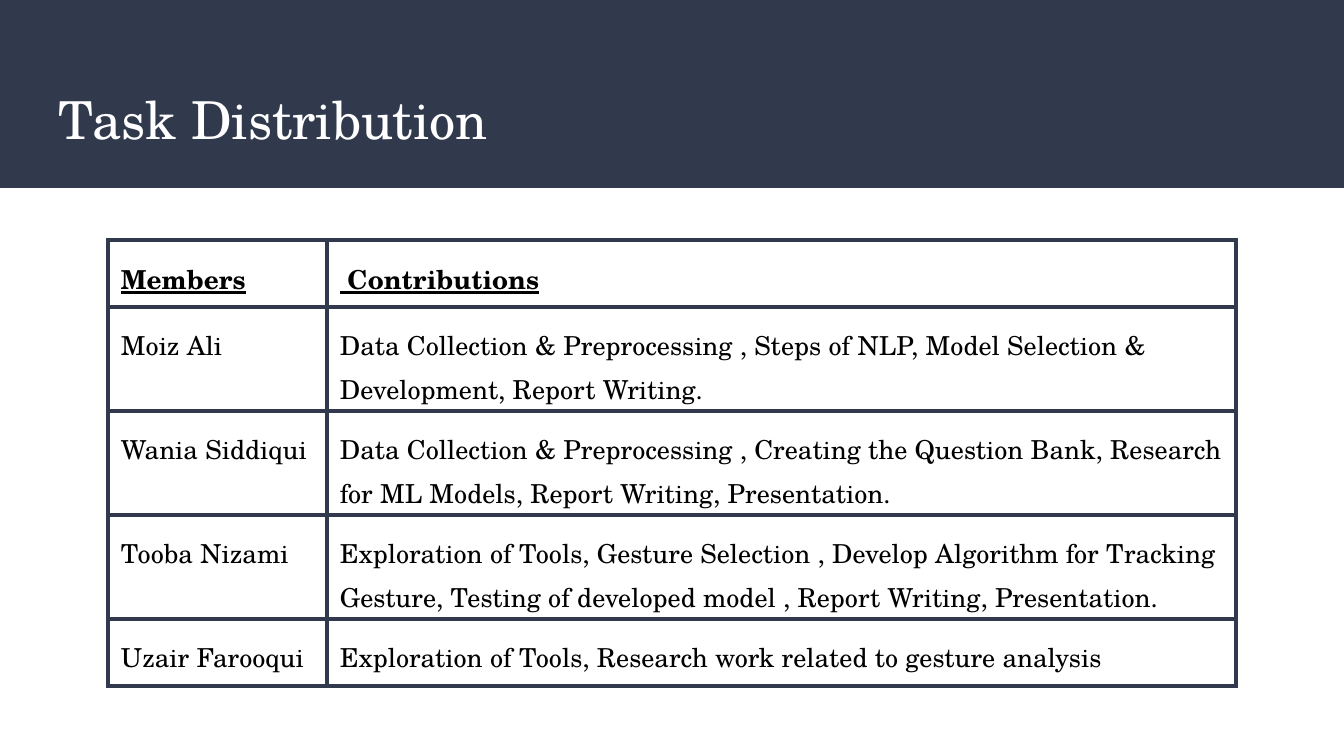
from lxml import etree
from pptx import Presentation
from pptx import util as u
from pptx.dml.color import RGBColor
from pptx.enum import shapes, text
from pptx.oxml.ns import qn

PX = 914400 / 134.4
FONT = "TeX Gyre Schola"
NAVY, WHITE, BLACK = "31394D", "FFFFFF", "000000"
PAD = 13
ROWS = [
    ("Members", " Contributions"),
    ("Moiz Ali", "Data Collection & Preprocessing , Steps of NLP, "
     "Model Selection & Development, Report Writing."),
    ("Wania Siddiqui", "Data Collection & Preprocessing , Creating the Question "
     "Bank, Research for ML Models, Report Writing, Presentation."),
    ("Tooba Nizami", "Exploration of Tools, Gesture Selection , Develop Algorithm "
     "for Tracking Gesture, Testing of developed model , Report Writing, Presentation."),
    ("Uzair Farooqui", "Exploration of Tools, Research work related to gesture analysis"),
]


def px(n):
    return u.Emu(round(n * PX))


def paint(color, code):
    color.rgb = RGBColor.from_string(code)


def write(frame, words, size, code, bold=False):
    """Fill a text frame; bold text is underlined too."""
    frame.text = words
    font = frame.paragraphs[0].runs[0].font
    font.name, font.size = FONT, u.Pt(size)
    font.bold = font.underline = bold
    paint(font.color, code)


def edge(cell):
    """Draw the four borders of a table cell."""
    props = cell._tc.get_or_add_tcPr()
    for i, side in enumerate(("lnL", "lnR", "lnT", "lnB")):
        line = etree.Element(qn("a:" + side), w=str(u.Pt(2.25)))
        fill = etree.SubElement(line, qn("a:solidFill"))
        etree.SubElement(fill, qn("a:srgbClr"), val=NAVY)
        props.insert(i, line)


def header(slide, x, y, w, h):
    band = slide.shapes.add_shape(
        shapes.MSO_SHAPE.RECTANGLE, px(x), px(y), px(w), px(h))
    band.shadow.inherit = False
    band.fill.solid()
    paint(band.fill.fore_color, NAVY)
    band.line.fill.background()

    title = slide.shapes.add_textbox(px(x + 46), px(y + 74), px(w - 92), px(91))
    frame = title.text_frame
    frame.word_wrap = True
    frame.margin_left = frame.margin_right = px(PAD)
    frame.margin_top = frame.margin_bottom = px(PAD)
    write(frame, "Task Distribution", 28, WHITE)


def tasks(slide, x, y, w, h):
    names, ends, mid = 219, 67, 104
    table = slide.shapes.add_table(
        len(ROWS), 2, px(x), px(y), px(w), px(h)).table
    table.first_row = table.horz_banding = False
    table.columns[0].width = px(names)
    table.columns[1].width = px(w - names)
    for r, row in enumerate(ROWS):
        table.rows[r].height = px(ends if r in (0, len(ROWS) - 1) else mid)
        for c, words in enumerate(row):
            cell = table.cell(r, c)
            cell.fill.background()
            cell.margin_left = cell.margin_right = px(PAD)
            cell.margin_top = cell.margin_bottom = px(PAD)
            cell.vertical_anchor = text.MSO_ANCHOR.TOP
            write(cell.text_frame, words, 14, BLACK, bold=r == 0)
            cell.text_frame.paragraphs[0].line_spacing = 1.15
            edge(cell)


def main():
    deck = Presentation()
    deck.slide_width, deck.slide_height = px(1344), px(756)
    slide = deck.slides.add_slide(deck.slide_layouts[6])
    header(slide, 0, 0, 1344, 188)
    tasks(slide, 108, 240, 1128, 446)
    deck.save("out.pptx")


if __name__ == "__main__":
    main()
